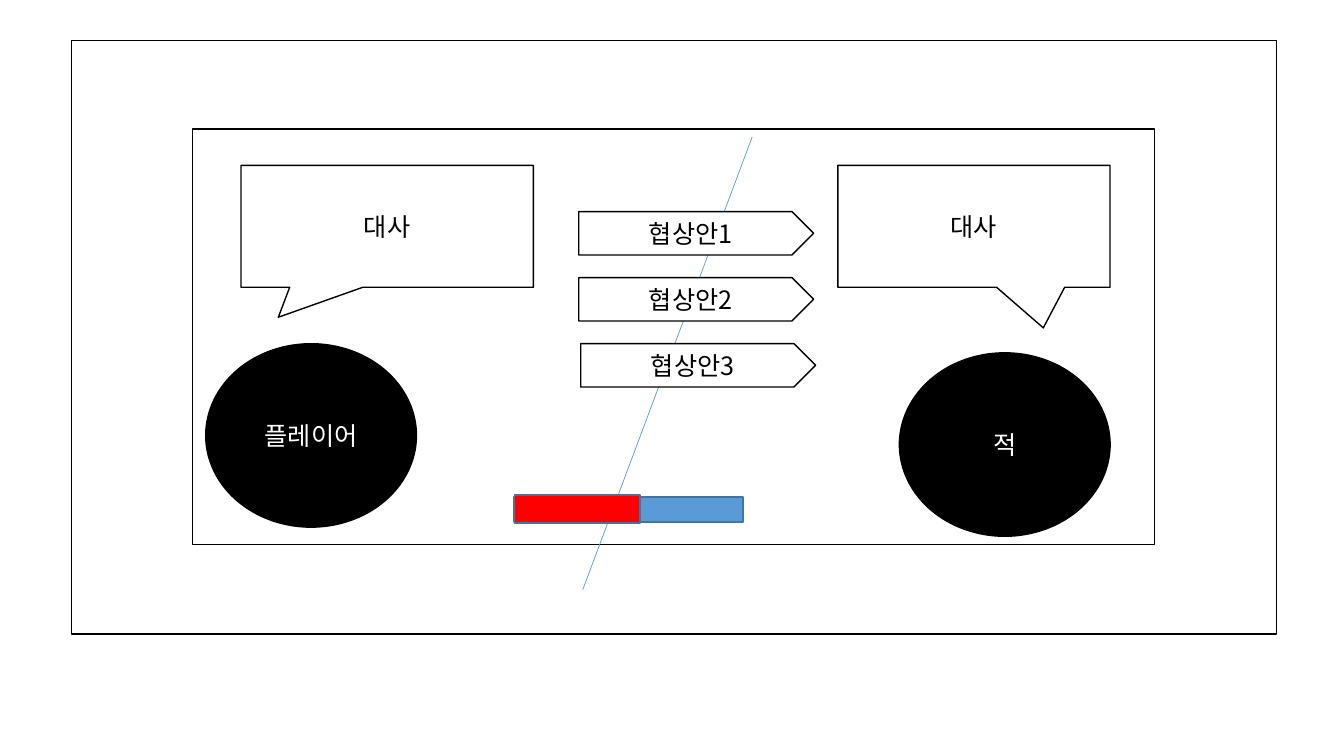
from lxml.etree import SubElement
from pptx import Presentation
from pptx.dml.color import RGBColor
from pptx.enum.shapes import MSO_CONNECTOR as Link, MSO_SHAPE as Kind
from pptx.enum.text import MSO_ANCHOR as Anchor, PP_ALIGN as Align
from pptx.oxml.ns import qn
from pptx.util import Inches, Pt

FONT = "Noto Sans CJK KR"
BLACK, WHITE, RED = "000000", "FFFFFF", "FF0000"
BLUE, NAVY = "5B9BD5", "43739E"


def color(code):
    """Turn a hex string into a colour."""
    return RGBColor.from_string(code)


def write(shape, text, size=18, ink=BLACK):
    """Put centred text into a shape."""
    frame = shape.text_frame
    frame.word_wrap = True
    frame.vertical_anchor = Anchor.MIDDLE
    para = frame.paragraphs[0]
    para.alignment = Align.CENTER
    run = para.add_run()
    run.text = text
    font = run.font
    font.size, font.name = Pt(size), FONT
    font.color.rgb = color(ink)
    SubElement(run._r.get_or_add_rPr(), qn("a:ea"), typeface=FONT)


def draw(slide, kind, box, fill=WHITE, line=BLACK):
    """Add a filled and outlined shape in a box."""
    shape = slide.shapes.add_shape(kind, *map(Inches, box))
    shape.shadow.inherit = False
    shape.fill.solid()
    shape.fill.fore_color.rgb = color(fill)
    shape.line.color.rgb = color(line)
    shape.line.width = Pt(1)
    return shape


def split(slide, box):
    """Draw the slanted divider from top right to bottom left."""
    x, y, w, h = box
    line = slide.shapes.add_connector(
        Link.STRAIGHT, *map(Inches, (x + w, y, x, y + h)))
    line.line.color.rgb = color(BLUE)
    line.line.width = Pt(0.5)
    SubElement(line._element.spPr, qn("a:effectLst"))


def gauge(slide, box, part):
    """Draw a bar whose red part sits slightly taller on the left."""
    x, y, w, h = box
    draw(slide, Kind.RECTANGLE, box, BLUE, NAVY)
    draw(slide, Kind.RECTANGLE, (x, y - 0.02, w * part, h + 0.03), RED, NAVY)


def fighter(slide, box, name, talk, tip, right=False):
    """Draw a speech bubble at the top right and a ball at the bottom."""
    x, y, w, h = box
    wide, high = 2.09, 1.82
    left = x + w - wide if right else x
    ball = draw(slide, Kind.OVAL, (left, y + h - high, wide, high), BLACK)
    write(ball, name, ink=WHITE)
    bubble = draw(slide, Kind.RECTANGULAR_CALLOUT,
                  (x + w - talk, y, talk, 1.21))
    for i, value in enumerate(tip):
        bubble.adjustments[i] = value
    write(bubble, "대사")


def offers(slide, box, shifts):
    """Stack the numbered offers evenly down the box."""
    x, y, w, h = box
    high = 0.43
    step = (h - high) / (len(shifts) - 1)
    for i, shift in enumerate(shifts):
        arrow = draw(slide, Kind.PENTAGON, (x + shift, y + i * step, w, high))
        write(arrow, f"협상안{i + 1}")


def scene(slide, box):
    """Lay out the talk scene inside its outer frame."""
    x, y, w, h = box

    def place(left, top, wide, high):
        """Shift a box by the corner of the frame."""
        return x + left, y + top, wide, high

    draw(slide, Kind.RECTANGLE, box)
    draw(slide, Kind.RECTANGLE, place(1.2, 0.88, w - 2.41, h - 1.77))
    split(slide, place(5.07, 0.96, 1.68, 4.49))
    gauge(slide, place(4.39, 4.53, 2.27, 0.25), 0.55)
    fighter(slide, place(1.33, 1.24, 3.25, 3.59), "플레이어", 2.9,
            (-0.372, 0.746))
    fighter(slide, place(7.6, 1.24, 2.7, 3.68), "적", 2.7,
            (0.255, 0.833), right=True)
    offers(slide, place(5.03, 1.7, 2.33, 1.74), (0, 0, 0.02))


def main():
    """Build and save the slide."""
    deck = Presentation()
    deck.slide_width, deck.slide_height = Inches(13.33), Inches(7.5)
    slide = deck.slides.add_slide(deck.slide_layouts[6])
    scene(slide, (0.71, 0.4, 11.95, 5.89))
    deck.save("out.pptx")


if __name__ == "__main__":
    main()
